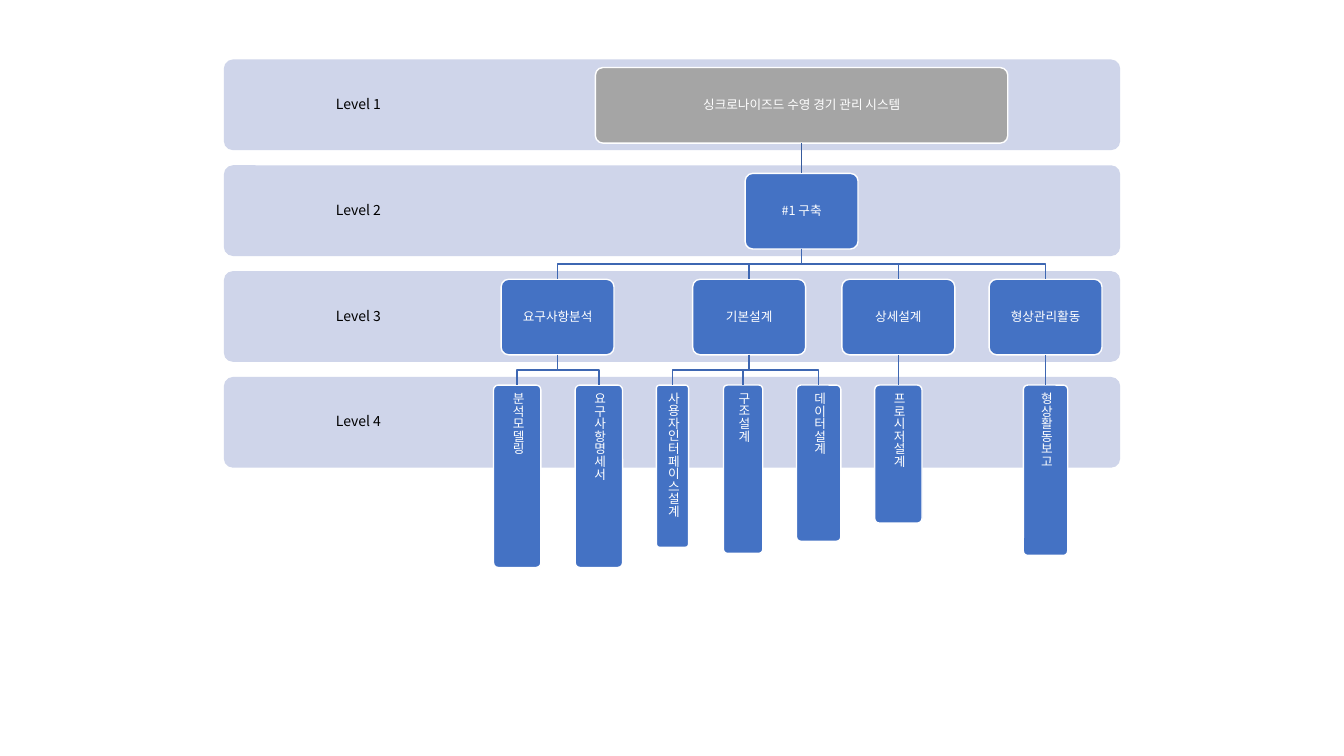
from dataclasses import dataclass

import pptx
import pptx.dml.color
import pptx.enum.shapes
import pptx.enum.text
import pptx.oxml.ns
import pptx.util
from lxml import etree

Inches = pptx.util.Inches
Pt = pptx.util.Pt
MSO_SHAPE = pptx.enum.shapes.MSO_SHAPE
ALIGN = pptx.enum.text.PP_ALIGN
qn = pptx.oxml.ns.qn


@dataclass(frozen=True)
class Theme:
    font: str = "Noto Sans CJK KR"
    label_size: float = 10
    box_size: float = 9
    band: str = "CFD5EA"
    root: str = "A5A5A5"
    box: str = "4472C4"
    root_link: str = "365B9D"
    link: str = "3E67B2"
    dark: str = "000000"
    light: str = "FFFFFF"


@dataclass(frozen=True)
class Node:
    text: str
    center: float
    width: float = 1.12
    height: float = 0.75
    children: tuple = ()


THEME = Theme()

# Level bands: left, first top, width, height, and step from band to band
BAND_LEFT, BAND_TOP, BAND_WIDTH, BAND_HEIGHT, BAND_STEP = 2.22, 0.59, 8.89, 0.9, 1.05
LABEL_WIDTH = 2.67
BOX_OFFSET = 0.08
LEVELS = 4
LEAF_LEVEL = LEVELS - 1

SYSTEM = Node("싱크로나이즈드 수영 경기 관리 시스템", 7.95, 4.09, children=(
    Node("#1 구축", 7.95, children=(
        Node("요구사항분석", 5.53, children=(
            Node("분석모델링", 5.13, 0.47, 1.81),
            Node("요구사항명세서", 5.94, 0.47, 1.81),
        )),
        Node("기본설계", 7.43, children=(
            Node("사용자인터페이스설계", 6.67, 0.32, 1.61),
            Node("구조설계", 7.37, 0.39, 1.67),
            Node("데이터설계", 8.12, 0.44, 1.55),
        )),
        Node("상세설계", 8.91, children=(
            Node("프로시저설계", 8.91, 0.47, 1.37),
        )),
        Node("형상관리활동", 10.37, children=(
            Node("형상활동보고", 10.37, 0.44, 1.69),
        )),
    )),
))


def rgb(code):
    return pptx.dml.color.RGBColor.from_string(code)


def band_top(level):
    return BAND_TOP + level * BAND_STEP


def set_text(shape, text, size, color, margin, align=ALIGN.CENTER):
    frame = shape.text_frame
    frame.word_wrap = True
    frame.vertical_anchor = pptx.enum.text.MSO_ANCHOR.MIDDLE
    frame.margin_left = frame.margin_right = Inches(margin)
    frame.margin_top = frame.margin_bottom = Inches(margin)
    para = frame.paragraphs[0]
    para.text = text
    para.alignment = align
    para.line_spacing = 0.9
    para.font.size = Pt(size)
    para.font.color.rgb = rgb(color)
    para.font.name = THEME.font
    # Korean glyphs take the East Asian typeface
    latin = next(para._p.iter(qn("a:latin")))
    east_asian = etree.Element(qn("a:ea"), typeface=THEME.font)
    latin.addnext(east_asian)


def add_rounded(page, left, top, width, height, fill):
    shape = page.shapes.add_shape(
        MSO_SHAPE.ROUNDED_RECTANGLE,
        Inches(left), Inches(top), Inches(width), Inches(height))
    shape.adjustments[0] = 0.1
    shape.shadow.inherit = False
    shape.fill.solid()
    shape.fill.fore_color.rgb = rgb(fill)
    return shape


def add_band(page, level):
    top = band_top(level)
    band = add_rounded(page, BAND_LEFT, top, BAND_WIDTH, BAND_HEIGHT, THEME.band)
    band.line.fill.background()
    label = page.shapes.add_textbox(
        Inches(BAND_LEFT), Inches(top), Inches(LABEL_WIDTH), Inches(BAND_HEIGHT))
    set_text(label, f"Level {level + 1}", THEME.label_size, THEME.dark, 0.08)


def add_box(page, node, level):
    box = add_rounded(
        page, node.center - node.width / 2, band_top(level) + BOX_OFFSET,
        node.width, node.height, THEME.box if level else THEME.root)
    box.line.color.rgb = rgb(THEME.light)
    box.line.width = Pt(1)
    vertical = level == LEAF_LEVEL
    set_text(box, node.text, THEME.box_size, THEME.light, 0.06 if vertical else 0.04,
             ALIGN.LEFT if vertical else ALIGN.CENTER)
    if vertical:
        box.text_frame._txBody.bodyPr.set("vert", "eaVert")
    return box


def add_link(page, parent, parent_box, child, child_box, color):
    start_x, end_x = Inches(parent.center), Inches(child.center)
    start_y, end_y = parent_box.top + parent_box.height, child_box.top
    if start_x == end_x:
        link = page.shapes.add_connector(
            pptx.enum.shapes.MSO_CONNECTOR.STRAIGHT, start_x, start_y, end_x, end_y)
        link.begin_connect(parent_box, 2)
        link.end_connect(child_box, 0)
        etree.SubElement(link._element.spPr, qn("a:effectLst"))
    else:
        middle_y = (start_y + end_y) // 2
        builder = page.shapes.build_freeform(start_x, start_y)
        builder.add_line_segments(
            [(start_x, middle_y), (end_x, middle_y), (end_x, end_y)], close=False)
        link = builder.convert_to_shape()
        link.fill.background()
        link.shadow.inherit = False
    link.line.color.rgb = rgb(color)
    link.line.width = Pt(1)


def add_tree(page, node, level=0):
    box = add_box(page, node, level)
    for child in node.children:
        child_box = add_tree(page, child, level + 1)
        add_link(page, node, box, child, child_box,
                 THEME.link if level else THEME.root_link)
    return box


def main():
    deck = pptx.Presentation()
    deck.slide_width, deck.slide_height = Inches(13.33), Inches(7.5)
    page = deck.slides.add_slide(deck.slide_layouts[6])

    # Level bands behind the hierarchy
    for level in reversed(range(LEVELS)):
        add_band(page, level)

    # Work breakdown
    add_tree(page, SYSTEM)

    deck.save("out.pptx")


if __name__ == "__main__":
    main()
